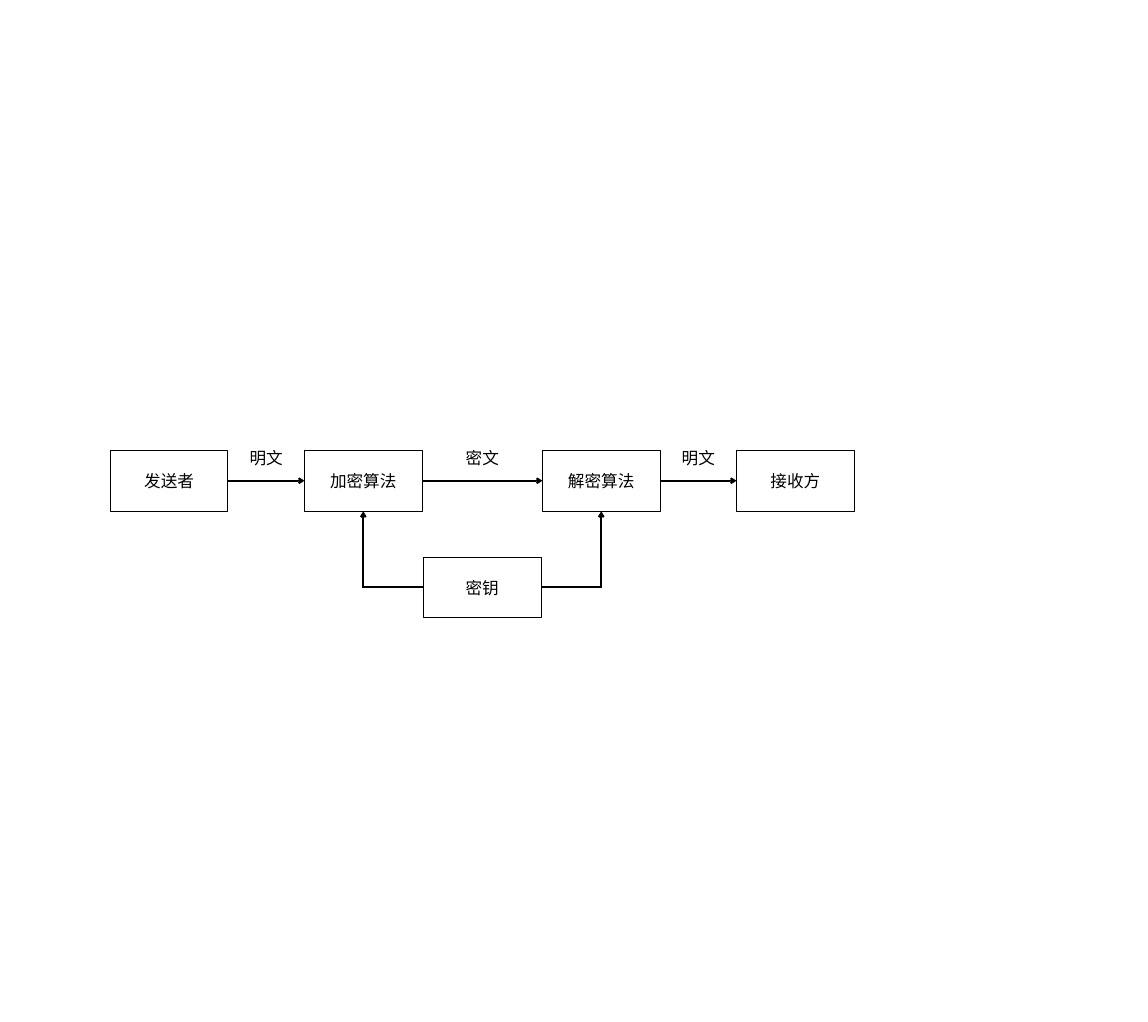
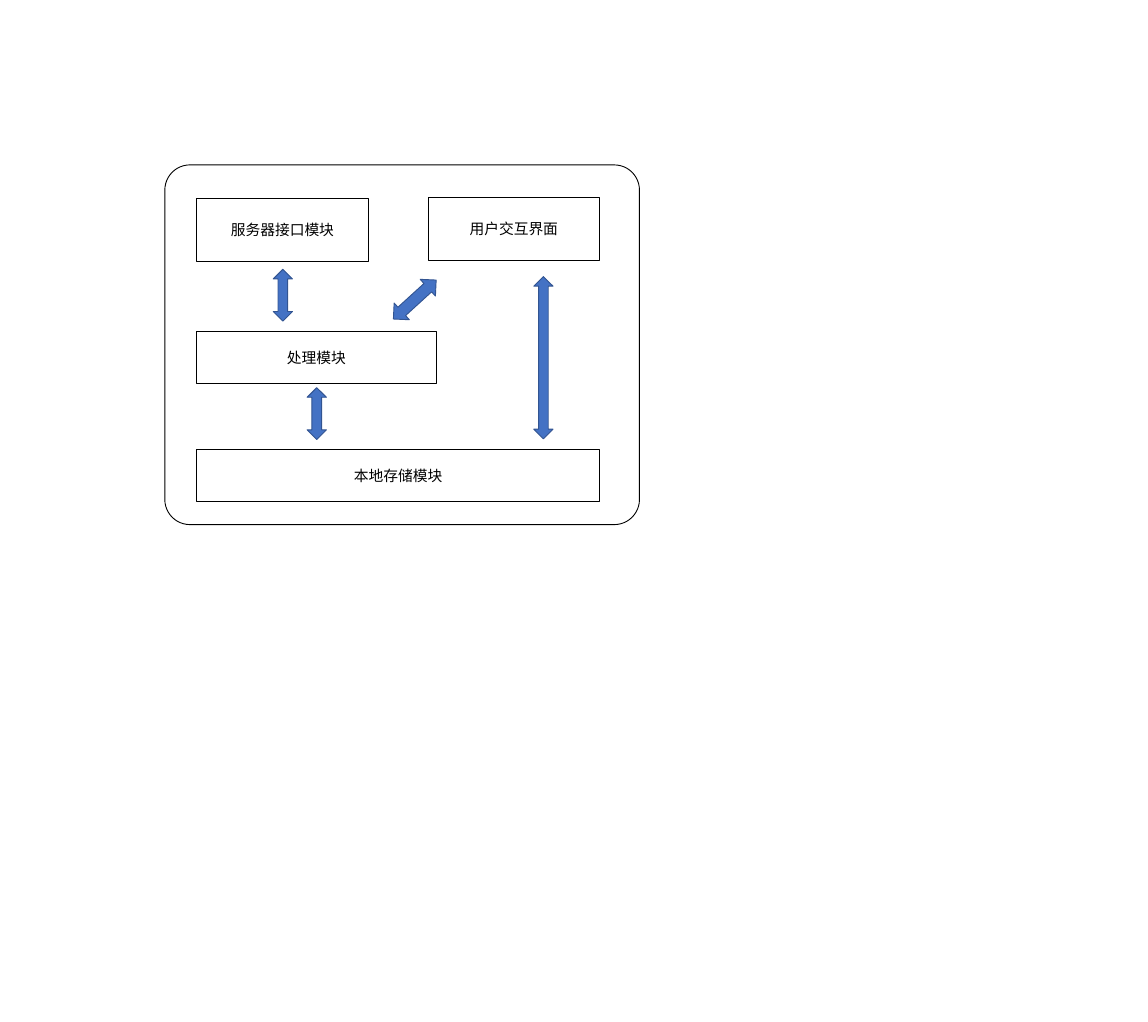
from pptx import Presentation
from pptx.dml.color import RGBColor
from pptx.enum.shapes import MSO_CONNECTOR, MSO_SHAPE
from pptx.enum.text import MSO_ANCHOR, MSO_AUTO_SIZE, PP_ALIGN
from pptx.oxml.ns import qn
from pptx.util import Inches, Pt
from lxml.etree import SubElement

COLORS = {"ink": "000000", "paper": "FFFFFF", "arrow": "4472C4", "arrow_edge": "325491"}
FONT = "Calibri"


def rgb(name):
    return RGBColor.from_string(COLORS[name])


def add_text(tf, text, size):
    p = tf.paragraphs[0]
    p.text = text
    p.alignment = PP_ALIGN.CENTER
    p.font.name = FONT
    p.font.size = Pt(size)
    p.font.color.rgb = rgb("ink")


def add_figure(s, kind, x, y, w, h, fill="paper", line="ink"):
    sp = s.shapes.add_shape(kind, Inches(x), Inches(y), Inches(w), Inches(h))
    sp.shadow.inherit = False
    sp.fill.solid()
    sp.fill.fore_color.rgb = rgb(fill)
    sp.line.color.rgb = rgb(line)
    sp.line.width = Pt(1)
    return sp


def add_box(s, text, x, y, w, h, size):
    tf = add_figure(s, MSO_SHAPE.RECTANGLE, x, y, w, h).text_frame
    tf.vertical_anchor = MSO_ANCHOR.MIDDLE
    add_text(tf, text, size)


def add_label(s, text, center_x, y, size):
    w = 0.71
    tf = s.shapes.add_textbox(Inches(center_x - w / 2), Inches(y), Inches(w), Inches(0.4)).text_frame
    tf.word_wrap = False
    tf.auto_size = MSO_AUTO_SIZE.SHAPE_TO_FIT_TEXT
    add_text(tf, text, size)


def add_line(s, x1, y1, x2, y2, arrow=False):
    cn = s.shapes.add_connector(MSO_CONNECTOR.STRAIGHT, Inches(x1), Inches(y1), Inches(x2), Inches(y2))
    cn.line.color.rgb = rgb("ink")
    cn.line.width = Pt(2)
    if arrow:
        SubElement(cn.line._get_or_add_ln(), qn("a:tailEnd"), type="arrow")
    SubElement(cn._element.spPr, qn("a:effectLst"))


def add_double_arrow(s, x, y, w, h, rotation=0):
    sp = add_figure(s, MSO_SHAPE.UP_DOWN_ARROW, x, y, w, h, "arrow", "arrow_edge")
    sp.rotation = rotation


def encryption_slide(s):
    w, h, size = 1.77, 0.91, 18
    row_y, key_x, key_y = 6.78, 6.37, 8.38
    mid_y, key_mid = 7.23, 8.83
    stages = [("发送者", 1.66), ("加密算法", 4.58), ("解密算法", 8.16), ("接收方", 11.08)]

    for text, x in stages:
        add_box(s, text, x, row_y, w, h, size)
    for text, (_, x), (_, next_x) in zip(["明文", "密文", "明文"], stages, stages[1:]):
        add_line(s, x + w, mid_y, next_x, mid_y, arrow=True)
        add_label(s, text, (x + w + next_x) / 2, 6.69, size)

    add_box(s, "密钥", key_x, key_y, w, h, size)
    for (_, x), key_edge in zip(stages[1:3], [key_x, key_x + w]):
        center = x + w / 2
        add_line(s, key_edge, key_mid, center, key_mid)
        add_line(s, center, key_mid + 0.02, center, row_y + h, arrow=True)


def modules_slide(s):
    frame = add_figure(s, MSO_SHAPE.ROUNDED_RECTANGLE, 2.48, 2.48, 7.14, 5.41)
    frame.adjustments[0] = 0.07

    left = 2.96
    for text, x, y, w, h in [
        ("服务器接口模块", left, 2.98, 2.58, 0.95),
        ("用户交互界面", 6.44, 2.97, 2.58, 0.95),
        ("处理模块", left, 4.99, 3.6, 0.78),
        ("本地存储模块", left, 6.76, 6.06, 0.78),
    ]:
        add_box(s, text, x, y, w, h, 16)

    add_double_arrow(s, 8.03, 4.16, 0.29, 2.44)
    add_double_arrow(s, 4.62, 5.83, 0.29, 0.78)
    add_double_arrow(s, 4.11, 4.05, 0.29, 0.78)
    add_double_arrow(s, 6.07, 4.07, 0.34, 0.87, 47.7)


def main():
    prs = Presentation()
    prs.slide_width, prs.slide_height = Inches(17.27), Inches(15.37)
    for build in (encryption_slide, modules_slide):
        build(prs.slides.add_slide(prs.slide_layouts[6]))
    prs.save("out.pptx")


if __name__ == "__main__":
    main()
